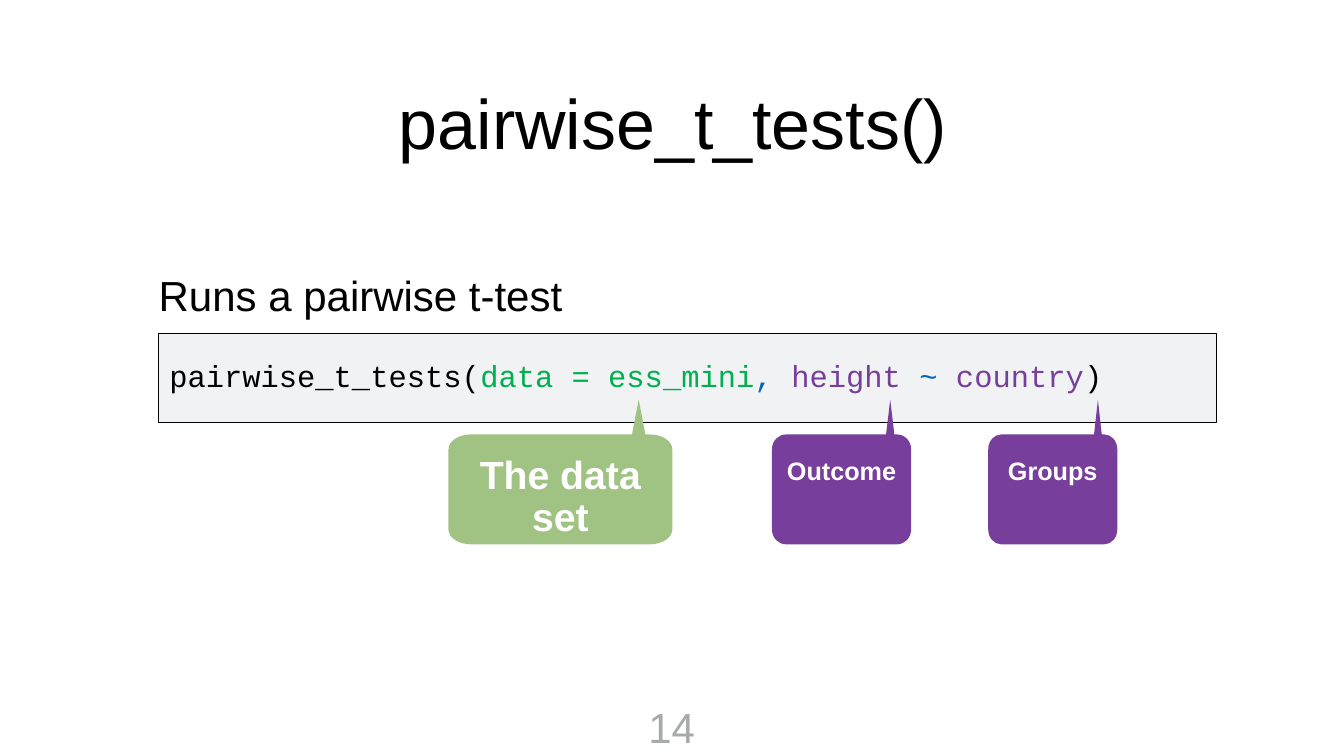
"""Build the slide that explains the arguments of pairwise_t_tests()."""
from dataclasses import dataclass

from lxml.etree import SubElement
from pptx import Presentation
from pptx.dml.color import RGBColor
from pptx.enum.shapes import MSO_SHAPE
from pptx.enum.text import MSO_ANCHOR as Anchor, MSO_AUTO_SIZE as AutoSize, PP_ALIGN as Align
from pptx.oxml.ns import qn
from pptx.util import Inches, Pt

WIDTH, HEIGHT = Inches(26.67), Inches(15)
BLACK = RGBColor(0x00, 0x00, 0x00)
WHITE = RGBColor(0xFF, 0xFF, 0xFF)
PANEL = RGBColor(0xF0, 0xF2, 0xF4)
GREEN = RGBColor(0x00, 0xB0, 0x50)
SAGE = RGBColor(0xA0, 0xC2, 0x83)
BLUE = RGBColor(0x03, 0x65, 0xC0)
PURPLE = RGBColor(0x77, 0x3F, 0x9B)
GREY = RGBColor(0xA6, 0xAA, 0xA9)

TIP_ROW, SHOULDER_ROW, BOTTOM_ROW = 52.87, 57.47, 72
CORNER_SHARE, CORNER_ROWS, ROUNDNESS = 0.1, 1.95, 0.55
TAIL_SHARE, TAIL_HALF = 0.85, 0.03

CODE = [
    ("pairwise_t_tests(", BLACK),
    ("data = ess_mini", GREEN),
    (", ", BLUE),
    ("height", PURPLE),
    (" ~ ", BLUE),
    ("country", PURPLE),
    (")", BLACK),
]


@dataclass(frozen=True)
class Area:
    """Place on a grid of 100 columns and 100 rows."""
    left: float
    top: float
    width: float
    height: float

    def emu(self) -> tuple[int, int, int, int]:
        """Return left, top, width and height in EMU."""
        return x(self.left), y(self.top), x(self.width), y(self.height)


@dataclass(frozen=True)
class Callout:
    """Rounded label whose tail points up at an argument."""
    label: str
    left: float
    width: float
    fill: RGBColor
    size: float = 36
    anchor: Anchor = Anchor.MIDDLE


CALLOUTS = [
    Callout("The data set", 33.37, 16.65, SAGE, 56, Anchor.BOTTOM),
    Callout("Outcome", 57.44, 10.35, PURPLE),
    Callout("Groups", 73.53, 9.6, PURPLE),
]


def x(columns: float) -> int:
    """Convert grid columns to EMU."""
    return round(WIDTH * columns / 100)


def y(rows: float) -> int:
    """Convert grid rows to EMU."""
    return round(HEIGHT * rows / 100)


def write(frame, text, *, size, color=BLACK, font="Arial", bold=False,
          align=Align.LEFT, anchor=Anchor.TOP, inset=0.06, spacing=None,
          wrap=True, fit=AutoSize.NONE) -> None:
    """Fill a text frame with a string or a list of coloured parts."""
    frame.word_wrap = wrap
    frame.auto_size = fit
    frame.vertical_anchor = anchor
    frame.margin_left = frame.margin_right = Inches(inset)
    frame.margin_top = frame.margin_bottom = Inches(inset)
    paragraph = frame.paragraphs[0]
    paragraph.alignment = align
    if spacing:
        paragraph.line_spacing = spacing
    for part, part_color in [(text, color)] if isinstance(text, str) else text:
        run = paragraph.add_run()
        run.text = part
        run.font.name, run.font.size, run.font.bold = font, Pt(size), bold
        run.font.color.rgb = part_color


def add_text(shapes, area: Area, text, **style) -> None:
    """Add a text box."""
    write(shapes.add_textbox(*area.emu()).text_frame, text, **style)


def add_panel(shapes, area: Area) -> None:
    """Add the outlined panel behind the code."""
    panel = shapes.add_shape(MSO_SHAPE.RECTANGLE, *area.emu())
    panel.shadow.inherit = False
    panel.fill.solid()
    panel.fill.fore_color.rgb = PANEL
    panel.line.color.rgb = BLACK
    panel.line.width = Pt(1)


def outline(callout: Callout) -> list[tuple[int, int]]:
    """Return the callout's points, counterclockwise from the tip of its tail."""
    left, right = callout.left, callout.left + callout.width
    radius = callout.width * CORNER_SHARE
    near, far = left + radius, right - radius
    high, low = SHOULDER_ROW + CORNER_ROWS, BOTTOM_ROW - CORNER_ROWS
    tip, half = left + callout.width * TAIL_SHARE, callout.width * TAIL_HALF
    points = [
        (tip, TIP_ROW), (tip - half, SHOULDER_ROW),
        (near, SHOULDER_ROW), (left, high), (left, low), (near, BOTTOM_ROW),
        (far, BOTTOM_ROW), (right, low), (right, high), (far, SHOULDER_ROW),
        (tip + half, SHOULDER_ROW),
    ]
    return [(x(column), y(row)) for column, row in points]


def round_corners(bubble) -> None:
    """Turn the four bevelled corners of a callout into curves."""
    lines = list(bubble.element.iter(qn("a:lnTo")))
    ends = [(int(line[0].get("x")), int(line[0].get("y"))) for line in lines]
    for index in (2, 4, 6, 8):
        start, end = ends[index - 1], ends[index]
        corner = (end[0], start[1]) if index in (2, 6) else (start[0], end[1])
        curve = lines[index].makeelement(qn("a:cubicBezTo"))
        for origin, share in ((start, ROUNDNESS), (end, ROUNDNESS), (end, 0)):
            px, py = (round(o + share * (c - o)) for o, c in zip(origin, corner))
            SubElement(curve, qn("a:pt"), x=str(px), y=str(py))
        lines[index].getparent().replace(lines[index], curve)


def add_callout(shapes, callout: Callout) -> None:
    """Add a callout with its label."""
    tip, *rest = outline(callout)
    builder = shapes.build_freeform(*tip)
    builder.add_line_segments(rest, close=True)
    bubble = builder.convert_to_shape()
    round_corners(bubble)
    bubble.shadow.inherit = False
    bubble.fill.solid()
    bubble.fill.fore_color.rgb = callout.fill
    bubble.line.fill.background()
    write(bubble.text_frame, callout.label, size=callout.size, color=WHITE,
          bold=True, align=Align.CENTER, anchor=callout.anchor, inset=0.08,
          spacing=0.9)


def main() -> None:
    """Build and save the slide."""
    deck = Presentation()
    deck.slide_width, deck.slide_height = WIDTH, HEIGHT
    shapes = deck.slides.add_slide(deck.slide_layouts[6]).shapes
    add_text(shapes, Area(16.5, 7.33, 67.12, 17.47), "pairwise_t_tests()",
             size=100, align=Align.CENTER, anchor=Anchor.MIDDLE)
    add_text(shapes, Area(11.58, 30.67, 56.36, 16.67), "Runs a pairwise t-test",
             size=60, anchor=Anchor.MIDDLE)
    add_panel(shapes, Area(11.77, 44.13, 78.7, 11.8))
    add_text(shapes, Area(12.37, 46.8, 75.33, 7.67), CODE, size=43.5,
             font="Courier New")
    for callout in CALLOUTS:
        add_callout(shapes, callout)
    add_text(shapes, Area(47.92, 92.3, 4.12, 7.73), "14", size=60, color=GREY,
             align=Align.CENTER, inset=0.08, wrap=False,
             fit=AutoSize.SHAPE_TO_FIT_TEXT)
    deck.save("out.pptx")


if __name__ == "__main__":
    main()
